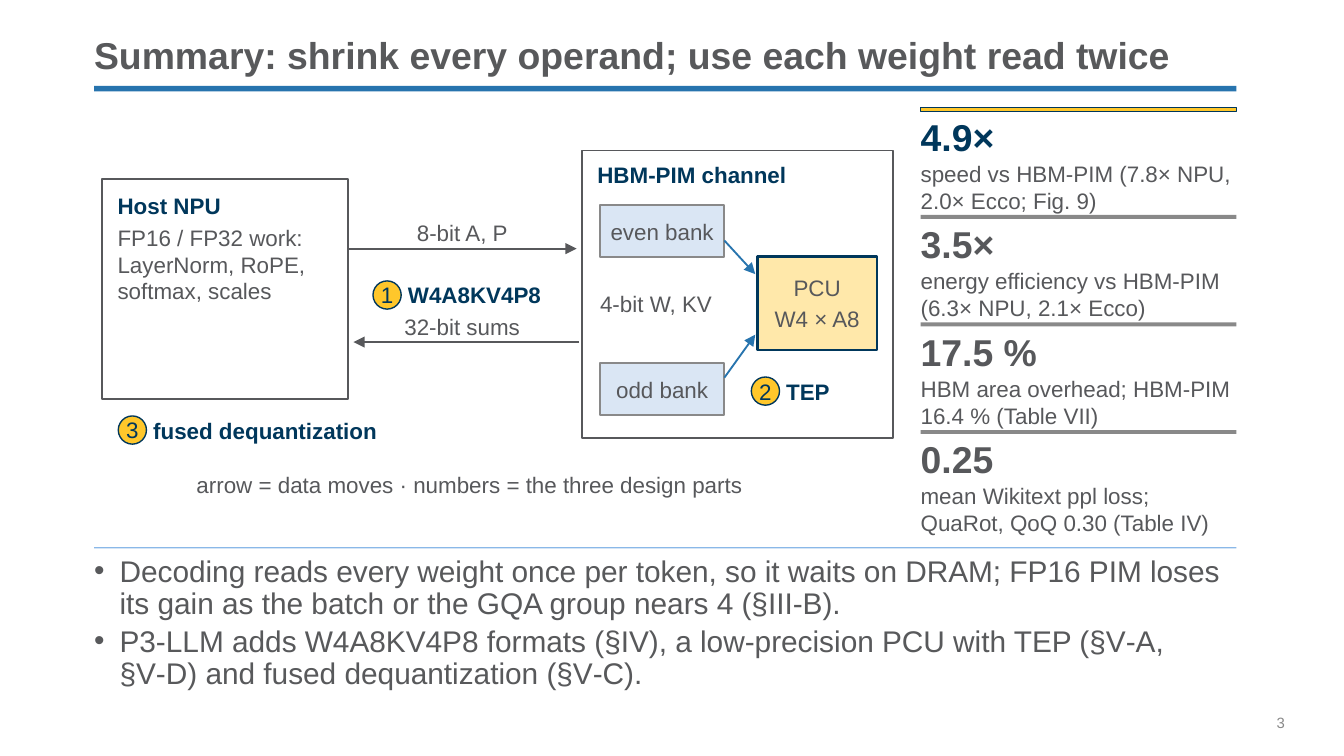
"""Build the summary slide: channel diagram, key figures and two bullets."""
from lxml.etree import SubElement as Sub
from pptx import Presentation as Deck
from pptx.dml.color import RGBColor as Rgb
from pptx.enum.shapes import MSO_CONNECTOR as Link, MSO_SHAPE as Kind
from pptx.enum.text import MSO_ANCHOR as Anchor, PP_ALIGN as Align
from pptx.oxml.ns import qn
from pptx.util import Pt

PX = 4572
INK = {
    "title": "58595B", "text": "57585B", "navy": "00375B", "blue": "2774AE",
    "sky": "8AB8E8", "pale": "DAE6F4", "gold": "FFC72B", "gray": "898989",
    "white": "FFFFFF",
}

deck = Deck()
deck.slide_width, deck.slide_height = 2000 * PX, 1125 * PX
slide = deck.slides.add_slide(deck.slide_layouts[6])
shapes = slide.shapes


def draw(box, fill, line=None, width=1, kind=Kind.RECTANGLE):
    shape = shapes.add_shape(kind, *[n * PX for n in box])
    shape.shadow.inherit = False
    shape.fill.solid()
    shape.fill.fore_color.rgb = Rgb.from_string(INK[fill])
    if line:
        shape.line.color.rgb = Rgb.from_string(INK[line])
        shape.line.width = Pt(width)
    else:
        shape.line.fill.background()
    return shape


def write(words, box=None, shape=None, size=12, color="text", bold=False,
          align=Align.LEFT, anchor=Anchor.MIDDLE, gap=0, lead=None, bullet=False):
    shape = shape or shapes.add_textbox(*[n * PX for n in box])
    frame = shape.text_frame
    frame.word_wrap = True
    frame.vertical_anchor = anchor
    frame.margin_left = frame.margin_right = 0
    frame.margin_top = frame.margin_bottom = 0
    frame.text = words
    for i, para in enumerate(frame.paragraphs):
        if bullet:
            props = para._p.get_or_add_pPr()
            props.set("marL", str(38 * PX))
            props.set("indent", str(-38 * PX))
            Sub(props, qn("a:buFont"), typeface="Arial")
            Sub(props, qn("a:buChar"), char="•")
        para.alignment = align
        para.line_spacing = lead
        para.space_before = Pt(gap if i else 0)
        for run in para.runs:
            font = run.font
            font.name, font.size, font.bold = "Arial", Pt(size), bold
            font.color.rgb = Rgb.from_string(INK[color])


draw((140, 128, 1700, 8), "blue")
draw((140, 814, 1700, 2), "sky")
write("Summary: shrink every operand; use each weight read twice",
      (140, 44, 1700, 72), size=20, color="title", bold=True,
      anchor=Anchor.BOTTOM, lead=0.9)
write("Decoding reads every weight once per token, so it waits on DRAM; "
      "FP16 PIM loses its gain as the batch or the GQA group nears 4 (§III‑B).\n"
      "P3-LLM adds W4A8KV4P8 formats (§IV), a low-precision PCU with TEP "
      "(§V‑A, §V‑D) and fused dequantization (§V‑C).",
      (140, 828, 1700, 212), size=16, color="title", anchor=Anchor.TOP,
      gap=3, lead=0.9, bullet=True)

draw((152, 266, 366, 328), "white", "text")
write("Host NPU", (175, 281, 300, 50), color="navy", bold=True)
write("FP16 / FP32 work:\nLayerNorm, RoPE,\nsoftmax, scales", (175, 335, 340, 116))

draw((866, 224, 463, 428), "white", "text")
write("HBM-PIM channel", (889, 235, 360, 50), color="navy", bold=True)
for name, y in (("even bank", 305), ("odd bank", 540)):
    bank = draw((893, y, 185, 78), "pale", "gray")
    write(name, shape=bank, align=Align.CENTER)
write("4-bit W, KV", (893, 426, 232, 50))

pcu = draw((1127, 382, 178, 139), "gold", "navy", 1.5)
tint = pcu.fill._xPr.find(qn("a:solidFill")).find(qn("a:srgbClr"))
Sub(tint, qn("a:alpha"), val="40000")
write("PCU\nW4 × A8", shape=pcu, align=Align.CENTER, gap=2)

for x, y, to_x, to_y, color in (
    (1078, 358, 1124, 408, "blue"),
    (1078, 562, 1124, 498, "blue"),
    (518, 370, 858, 370, "text"),
    (862, 509, 526, 509, "text"),
):
    arrow = shapes.add_connector(Link.STRAIGHT, x * PX, y * PX, to_x * PX, to_y * PX)
    arrow.line.color.rgb = Rgb.from_string(INK[color])
    arrow.line.width = Pt(1)
    Sub(arrow.line._get_or_add_ln(), qn("a:tailEnd"), type="triangle")
    Sub(arrow._element.spPr, qn("a:effectLst"))

for words, box in (
    ("8-bit A, P", (581, 321, 214, 50)),
    ("32-bit sums", (572, 461, 232, 50)),
    ("arrow = data moves · numbers = the three design parts", (177, 696, 1044, 50)),
):
    write(words, box, align=Align.CENTER)

for i, (part, x, y) in enumerate((
    ("W4A8KV4P8", 555, 418),
    ("TEP", 1118, 561),
    ("fused dequantization", 176, 619),
), 1):
    badge = draw((x, y, 42, 42), "gold", "navy", 0.75, Kind.OVAL)
    write(str(i), shape=badge, color="navy", align=Align.CENTER)
    write(part, (x + 52, y - 4, 24 * len(part), 50), color="navy", bold=True)

for i, (value, note) in enumerate((
    ("4.9×", "speed vs HBM-PIM (7.8× NPU, 2.0× Ecco; Fig. 9)"),
    ("3.5×", "energy efficiency vs HBM-PIM (6.3× NPU, 2.1× Ecco)"),
    ("17.5 %", "HBM area overhead; HBM-PIM 16.4 % (Table VII)"),
    ("0.25", "mean Wikitext ppl loss; QuaRot, QoQ 0.30 (Table IV)"),
)):
    y = 160 + 160 * i
    fill, line, color = ("gray", None, "text") if i else ("gold", "navy", "navy")
    draw((1370, y, 470, 6), fill, line, 0.5)
    write(value, (1370, y + 10, 470, 66), size=20, color=color, bold=True)
    write(note, (1370, y + 78, 470, 80), anchor=Anchor.TOP)

write("3", (1900, 1062, 100, 28), size=8, color="gray", anchor=Anchor.TOP)
deck.save("out.pptx")
